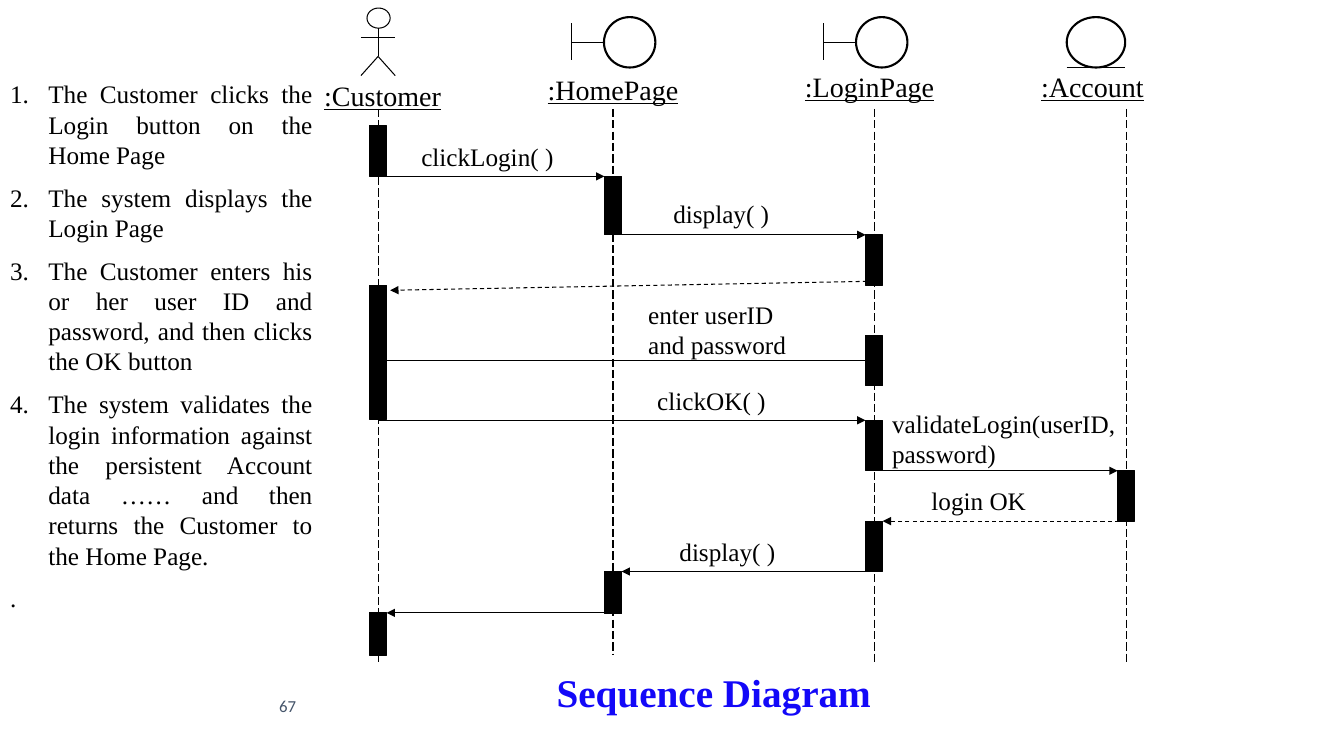
from lxml import etree
from pptx import Presentation
from pptx.dml.color import RGBColor
from pptx.enum.dml import MSO_LINE
from pptx.enum.shapes import MSO_CONNECTOR, MSO_SHAPE
from pptx.enum.text import MSO_ANCHOR, MSO_AUTO_SIZE, PP_ALIGN
from pptx.oxml.ns import qn
from pptx.util import Inches, Pt

DASH, LONG = MSO_LINE.DASH, MSO_LINE.LONG_DASH
RECT, OVAL = MSO_SHAPE.RECTANGLE, MSO_SHAPE.OVAL
STRAIGHT = MSO_CONNECTOR.STRAIGHT
TOP, MIDDLE = MSO_ANCHOR.TOP, MSO_ANCHOR.MIDDLE
LEFT, CENTER, JUSTIFY = PP_ALIGN.LEFT, PP_ALIGN.CENTER, PP_ALIGN.JUSTIFY
FIXED = MSO_AUTO_SIZE.NONE

COLORS = {"ink": "000000", "title": "1308F8", "number": "44546A"}
SERIF = "Times New Roman"
USER, HOME, LOGIN, ACCOUNT = 3.75, 6.08, 8.67, 11.17
BAR = 0.17
HALF = BAR / 2

LIVES = [(USER, 6.58), (HOME, 6.5), (LOGIN, 6.58), (ACCOUNT, 6.58)]
NAMES = [
    (":Customer", 2.92, 0.73, 1.75),
    (":HomePage", 5.08, 0.67, 2),
    (":LoginPage", 7.75, 0.64, 1.75),
    (":Account", 10.17, 0.64, 1.33),
]
CALLS = [
    (USER, 1.75, HOME - HALF, 1.75, None),
    (HOME, 2.33, LOGIN - HALF, 2.33, None),
    (LOGIN, 2.79, 3.87, 2.88, DASH),
    (USER, 3.58, LOGIN, 3.58, None),
    (USER, 4.17, LOGIN - HALF, 4.17, None),
    (LOGIN, 4.67, ACCOUNT - HALF, 4.67, None),
    (ACCOUNT, 5.17, LOGIN + HALF, 5.17, DASH),
    (LOGIN, 5.67, HOME + HALF, 5.67, None),
    (HOME, 6.08, USER + HALF, 6.08, None),
]
LABELS = [
    ("clickLogin( )", 4.08, 1.35, 1.75, 0.4),
    ("display( )", 6.58, 1.92, 1.75, 0.4),
    ("enter userID and password", 6.33, 2.92, 1.75, 0.7),
    ("clickOK( )", 6.42, 3.77, 1.75, 0.4),
    ("validateLogin(userID, password)", 8.75, 4, 2.42, 0.7),
    ("login OK", 9.14, 4.77, 1.75, 0.4),
    ("display( )", 6.64, 5.27, 1.75, 0.4),
]
BARS = [
    (USER, 1.25, 0.5), (HOME, 1.75, 0.58), (LOGIN, 2.33, 0.5),
    (USER, 2.83, 1.33), (LOGIN, 3.33, 0.5), (LOGIN, 4.17, 0.5),
    (ACCOUNT, 4.67, 0.5), (LOGIN, 5.17, 0.5), (HOME, 5.67, 0.42),
    (USER, 6.08, 0.42),
]
STEPS = [
    "The Customer clicks the Login button on the Home Page",
    "The system displays the Login Page",
    "The Customer enters his or her user ID and password, and then clicks the OK button",
    "The system validates the login information against the persistent Account "
    "data …… and then returns the Customer to the Home Page.",
    ".",
]


def color(name):
    """Return the named colour."""
    return RGBColor.from_string(COLORS[name])


def place(shape, left, top, width, height):
    """Move and size a shape."""
    shape.left, shape.top = Inches(left), Inches(top)
    shape.width, shape.height = Inches(width), Inches(height)


def set_frame(frame, anchor=TOP):
    """Make a text frame wrap at a fixed size."""
    frame.word_wrap = True
    frame.auto_size = FIXED
    frame.vertical_anchor = anchor


def set_font(para, size, name=SERIF, ink="ink"):
    """Set the font of a paragraph."""
    font = para.font
    font.size, font.name = Pt(size), name
    font.color.rgb = color(ink)


def add_text(shapes, text, left, top, width, height, size=18, name=SERIF,
             ink="ink", anchor=TOP):
    """Add a text box and return its paragraph."""
    box = shapes.add_textbox(Inches(left), Inches(top), Inches(width), Inches(height))
    set_frame(box.text_frame, anchor)
    para = box.text_frame.paragraphs[0]
    para.text = text
    set_font(para, size, name, ink)
    return para


def add_line(shapes, x1, y1, x2, y2, dash=None, arrow=False):
    """Add a thin line, dashed or with an arrowhead if asked."""
    link = shapes.add_connector(STRAIGHT, Inches(x1), Inches(y1), Inches(x2), Inches(y2))
    link.line.color.rgb = color("ink")
    link.line.width = Pt(0.75)
    if dash is not None:
        link.line.dash_style = dash
    props = link.element.spPr
    if arrow:
        etree.SubElement(props.find(qn("a:ln")), qn("a:tailEnd"), type="triangle")
    etree.SubElement(props, qn("a:effectLst"))


def add_shape(shapes, kind, left, top, width, height, weight=0.75):
    """Add a black bar or an open oval."""
    shape = shapes.add_shape(kind, Inches(left), Inches(top), Inches(width), Inches(height))
    shape.shadow.inherit = False
    shape.line.color.rgb = color("ink")
    shape.line.width = Pt(weight)
    if kind == RECT:
        shape.fill.solid()
        shape.fill.fore_color.rgb = color("ink")
    else:
        shape.fill.background()


def add_actor(slide, x):
    """Draw the stick figure."""
    shapes = slide.shapes.add_group_shape().shapes
    add_shape(shapes, OVAL, x - 0.11, 0.08, 0.23, 0.2)
    add_line(shapes, x, 0.28, x, 0.56)
    add_line(shapes, x - HALF * 2, 0.37, x + HALF * 2, 0.37)
    for side in (-BAR, BAR):
        add_line(shapes, x, 0.56, x + side, 0.75)


def add_page(slide, x):
    """Draw the boundary symbol from its left bar."""
    shapes = slide.shapes.add_group_shape().shapes
    add_shape(shapes, OVAL, x + 0.32, 0.17, 0.51, 0.5, 1.5)
    add_line(shapes, x + 0.32, 0.42, x, 0.42)
    add_line(shapes, x, 0.23, x, 0.6)


def add_store(slide, x):
    """Draw the entity symbol from its left edge."""
    shapes = slide.shapes.add_group_shape().shapes
    add_shape(shapes, OVAL, x, 0.17, 0.58, 0.5, 1.5)
    add_line(shapes, x, 0.67, x + 0.58, 0.67)


def fill_title(title):
    """Fill the title placeholder."""
    place(title, 5.42, 6.58, 4.08, 0.57)
    set_frame(title.text_frame)
    para = title.text_frame.paragraphs[0]
    para.text = "Sequence Diagram"
    para.alignment = LEFT
    set_font(para, 28, ink="title")
    para.font.bold = True


def fill_steps(body):
    """Fill the body placeholder with the numbered steps."""
    place(body, 0, 0.73, 3.2, 6.61)
    frame = body.text_frame
    set_frame(frame)
    frame.text = "\n".join(STEPS)
    for i, para in enumerate(frame.paragraphs):
        props = para._p.get_or_add_pPr()
        numbered = i < len(STEPS) - 1
        indent = Inches(0.38) if numbered else 0
        props.set("marL", str(indent))
        props.set("indent", str(-indent))
        if numbered:
            etree.SubElement(props, qn("a:buFont"), typeface="+mj-lt")
            etree.SubElement(props, qn("a:buAutoNum"), type="arabicPeriod")
        else:
            etree.SubElement(props, qn("a:buNone"))
        para.alignment = JUSTIFY
        para.space_before = Pt(9 if i else 0)
        set_font(para, 18)


def main():
    """Build the slide and save it."""
    deck = Presentation()
    deck.slide_width, deck.slide_height = Inches(13.33), Inches(7.5)
    slide = deck.slides.add_slide(deck.slide_layouts[1])
    shapes = slide.shapes
    fill_title(shapes.title)
    fill_steps(slide.placeholders[1])
    add_text(shapes, "67", 2.67, 6.75, 4.33, 0.5, 12, "Calibri", "number", MIDDLE)
    for text, left, top, width in NAMES:
        para = add_text(shapes, text, left, top, width, 0.43, 20)
        para.alignment = CENTER
        para.font.underline = True
    for x, end in LIVES:
        add_line(shapes, x, 1.08, x, end, LONG)
    for call in CALLS:
        add_line(shapes, *call, arrow=True)
    for label in LABELS:
        add_text(shapes, *label)
    for x, top, height in BARS:
        add_shape(shapes, RECT, x - HALF, top, BAR, height)
    add_actor(slide, USER)
    for x in (5.67, 8.17):
        add_page(slide, x)
    add_store(slide, 10.58)
    deck.save("out.pptx")


if __name__ == "__main__":
    main()
